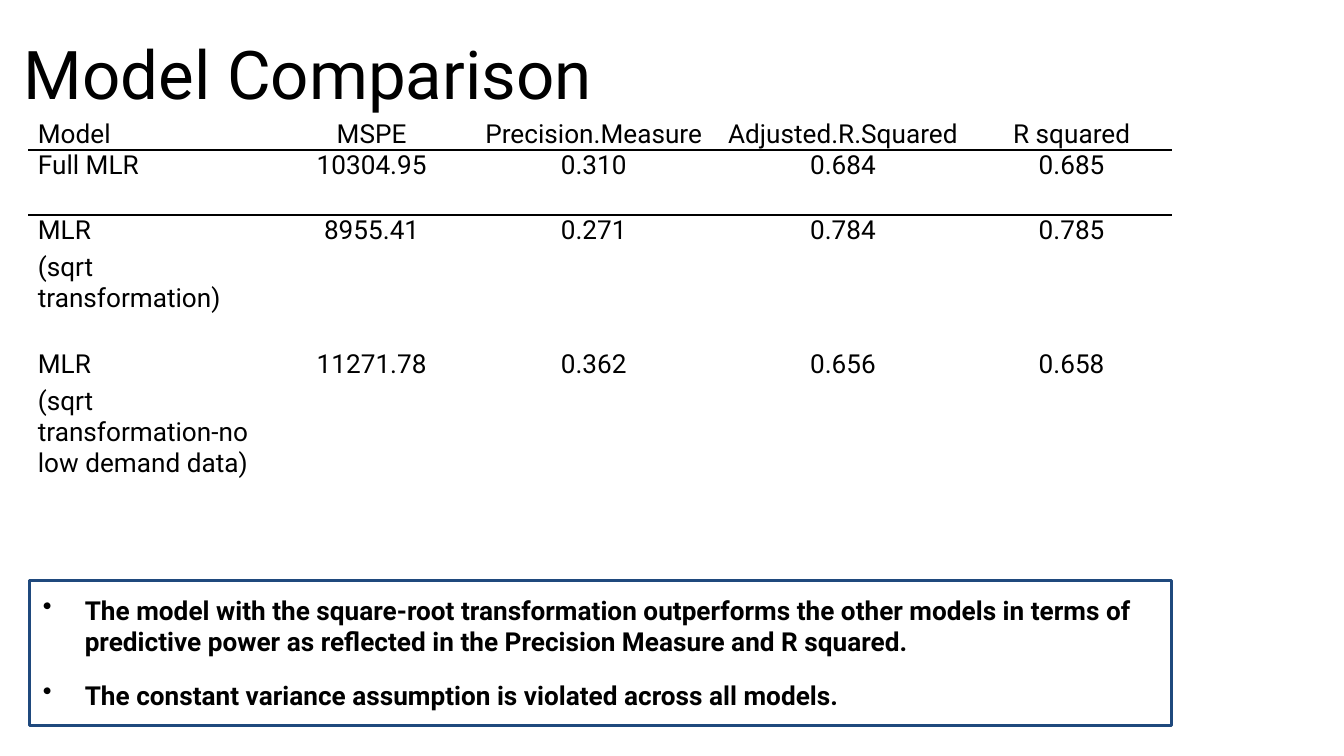
from typing import NamedTuple

from lxml.etree import SubElement
from pptx import Presentation
from pptx.dml.color import RGBColor
from pptx.enum.shapes import MSO_SHAPE as Form
from pptx.enum.text import MSO_ANCHOR as Anchor, PP_ALIGN as Align
from pptx.oxml import parse_xml
from pptx.oxml.ns import nsdecls, qn
from pptx.util import Pt

FONT = "Roboto"
BLACK, NAVY = "000000", "1F497D"
PLAIN = "{2D5ABB26-0587-4C30-8999-92F81FD0307C}"


class Box(NamedTuple):
    left: float
    top: float
    width: float
    height: float

    def place(self) -> list:
        return [Pt(side) for side in self]


class Model(NamedTuple):
    name: str
    scores: tuple[str, ...]
    height: float


TITLE = Box(5.76, 12.24, 674, 53.3)
GRID = Box(15.12, 63.4, 613, 200.9)
NOTE = Box(15.84, 311, 612, 77.8)
COLS = (130, 108, 130, 137, 108)

ROWS = (
    Model("Model", ("MSPE", "Precision.Measure", "Adjusted.R.Squared",
                    "R squared"), 16.6),
    Model("Full MLR", ("10304.95", "0.310", "0.684", "0.685"), 34.8),
    Model("MLR\n(sqrt transformation)",
          ("8955.41", "0.271", "0.784", "0.785"), 71.8),
    Model("MLR\n(sqrt transformation-no low demand data)",
          ("11271.78", "0.362", "0.656", "0.658"), 77.7),
)

POINTS = (
    "The model with the square-root transformation outperforms the other models"
    " in terms of predictive power as reflected in the Precision Measure and"
    " R squared.\n"
    "The constant variance assumption is violated across all models."
)


def color(code: str) -> RGBColor:
    return RGBColor.from_string(code)


def write(frame, text: str, *, size: float = 14, bold: bool = False,
          align=Align.LEFT, gap: float = 0, bullet: float = 0) -> None:
    """Fill a text frame, one paragraph for each line of text."""
    frame.word_wrap = True
    for i, line in enumerate(text.split("\n")):
        para = frame.add_paragraph() if i else frame.paragraphs[0]
        para.alignment = align
        para.space_before = Pt(gap if i else 0)
        para.space_after = Pt(gap)
        if bullet:
            props = para._p.get_or_add_pPr()
            props.set("marL", str(Pt(bullet)))
            props.set("indent", str(-Pt(bullet)))
            SubElement(props, qn("a:buChar"), char="•")
        run = para.add_run()
        run.text = line
        font = run.font
        font.name, font.size, font.bold = FONT, Pt(size), bold
        font.color.rgb = color(BLACK)


def rule(cell, side: str) -> None:
    """Draw a thin black border on one side of a cell."""
    line = parse_xml(
        f'<a:{side} {nsdecls("a")} w="{Pt(1)}"><a:solidFill>'
        f'<a:srgbClr val="{BLACK}"/></a:solidFill></a:{side}>')
    cell._tc.get_or_add_tcPr().insert(0, line)


def draw_grid(slide, box: Box, rows: tuple[Model, ...]) -> None:
    frame = slide.shapes.add_table(len(rows), len(COLS), *box.place())
    table = frame.table
    table.first_row = table.horz_banding = False
    next(frame.element.iter(qn("a:tableStyleId"))).text = PLAIN
    for col, width in zip(table.columns, COLS):
        col.width = Pt(width)
    for r, model in enumerate(rows):
        table.rows[r].height = Pt(model.height)
        for c, text in enumerate((model.name, *model.scores)):
            cell = table.cell(r, c)
            cell.margin_left = cell.margin_right = Pt(5.2)
            cell.margin_top = cell.margin_bottom = 0
            cell.vertical_anchor = Anchor.TOP if r else Anchor.BOTTOM
            cell.fill.background()
            write(cell.text_frame, text, gap=1.8,
                  align=Align.CENTER if c else Align.LEFT)
            if r < 2:
                rule(cell, "lnT" if r else "lnB")


def draw_note(slide, box: Box, text: str) -> None:
    shape = slide.shapes.add_shape(Form.RECTANGLE, *box.place())
    shape.shadow.inherit = False
    shape.fill.background()
    shape.line.color.rgb = color(NAVY)
    shape.line.width = Pt(1.5)
    frame = shape.text_frame
    frame.margin_left = frame.margin_right = Pt(7.2)
    frame.margin_top = frame.margin_bottom = Pt(7.2)
    frame.vertical_anchor = Anchor.TOP
    write(frame, text, bold=True, gap=6, bullet=22.5)


def main() -> None:
    deck = Presentation()
    deck.slide_width, deck.slide_height = Pt(720), Pt(405)
    slide = deck.slides.add_slide(deck.slide_layouts[6])

    # Title
    title = slide.shapes.add_textbox(*TITLE.place()).text_frame
    title.vertical_anchor = Anchor.MIDDLE
    write(title, "Model Comparison", size=36)

    # Scores and findings
    draw_grid(slide, GRID, ROWS)
    draw_note(slide, NOTE, POINTS)

    deck.save("out.pptx")


if __name__ == "__main__":
    main()
